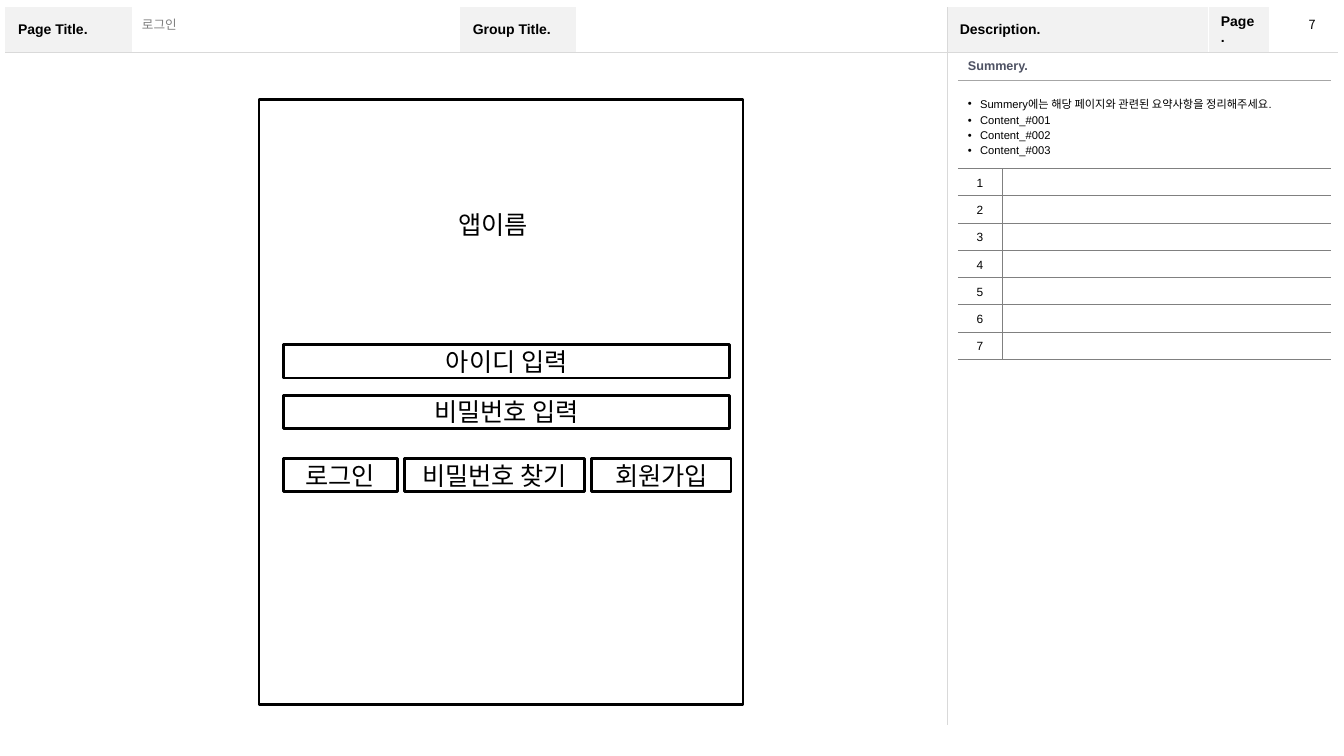
import pptx
import pptx.util
import pptx.dml.color
import pptx.enum.shapes
import pptx.enum.text
import pptx.oxml.ns
from lxml import etree

Inches, Pt = pptx.util.Inches, pptx.util.Pt
RGBColor = pptx.dml.color.RGBColor
ALIGN = pptx.enum.text.PP_ALIGN
MIDDLE = pptx.enum.text.MSO_ANCHOR.MIDDLE
qn = pptx.oxml.ns.qn

BLACK = RGBColor(0x00, 0x00, 0x00)
WHITE = RGBColor(0xFF, 0xFF, 0xFF)
GRAY = RGBColor(0x80, 0x80, 0x80)
MID_GRAY = RGBColor(0xA6, 0xA6, 0xA6)
LIGHT_GRAY = RGBColor(0xD9, 0xD9, 0xD9)
LABEL_FILL = RGBColor(0xF2, 0xF2, 0xF2)
SLATE = RGBColor(0x4E, 0x52, 0x63)
KOREAN = "Noto Sans CJK KR"


def write(p, text, size, font="Arial", color=BLACK, bold=False, **para):
    for name, value in para.items():
        setattr(p, name, value)
    r = p.add_run()
    r.text = text
    for name, value in {"size": Pt(size), "name": font, "bold": bold}.items():
        setattr(r.font, name, value)
    r.font.color.rgb = color
    # East Asian typeface for Hangul
    etree.SubElement(r.font._element, qn("a:ea"), typeface=KOREAN)


def add_label(s, text, box, size, wrap=False, anchor=None, **fmt):
    tf = s.shapes.add_textbox(*map(Inches, box)).text_frame
    tf.word_wrap = wrap
    tf.vertical_anchor = anchor
    write(tf.paragraphs[0], text, size, **fmt)


def add_box(s, box, text=None):
    kind = pptx.enum.shapes.MSO_SHAPE.RECTANGLE
    sp = s.shapes.add_shape(kind, *map(Inches, box))
    sp.shadow.inherit = False
    sp.fill.background()
    sp.line.color.rgb = BLACK
    sp.line.width = Pt(2)
    if text:
        sp.text_frame.vertical_anchor = MIDDLE
        write(sp.text_frame.paragraphs[0], text, 18, KOREAN, alignment=ALIGN.CENTER)


def add_table(s, left, top, cols, rows):
    tbl = s.shapes.add_table(len(rows), len(cols), Inches(left), Inches(top),
                             Inches(sum(cols)), Inches(sum(rows))).table
    tbl.first_row = tbl.horz_banding = False
    for col, width in zip(tbl.columns, cols):
        col.width = Inches(width)
    for row, height in zip(tbl.rows, rows):
        row.height = Inches(height)
    for cell in tbl.iter_cells():
        cell.fill.background()
        cell.vertical_anchor = MIDDLE
        # Small end mark keeps empty rows low
        etree.SubElement(cell.text_frame.paragraphs[0]._p, qn("a:endParaRPr"), sz="800")
    return tbl


def set_borders(cell, **colors):
    tcPr = cell._tc.get_or_add_tcPr()
    for i, side in enumerate("LRTB"):
        ln = etree.Element(qn("a:ln" + side), w=str(Pt(0.25)))
        if side in colors:
            fill = etree.SubElement(ln, qn("a:solidFill"))
            etree.SubElement(fill, qn("a:srgbClr"), val=str(colors[side]))
        else:
            etree.SubElement(ln, qn("a:noFill"))
        tcPr.insert(i, ln)


def add_bullet(p):
    pPr = p._p.get_or_add_pPr()
    pPr.set("marL", str(Inches(0.12)))
    pPr.set("indent", str(-Inches(0.12)))
    etree.SubElement(pPr, qn("a:buFont"), typeface="Arial")
    etree.SubElement(pPr, qn("a:buChar"), char="•")


def add_page_frame(s):
    tbl = add_table(s, 0.05, 0.07, [1.26, 3.25, 1.15, 3.68, 2.59, 0.61, 0.68], [0.44, 6.67])
    labels = {0: "Page Title.", 2: "Group Title.", 4: "Description.", 5: "Page."}
    for col in range(7):
        edges = {3: {"R": LIGHT_GRAY}, 4: {"L": LIGHT_GRAY, "R": WHITE}, 5: {"L": WHITE}}.get(col, {})
        head, body = tbl.cell(0, col), tbl.cell(1, col)
        set_borders(head, B=LIGHT_GRAY, **edges)
        set_borders(body, T=LIGHT_GRAY, **({"R": LIGHT_GRAY} if col < 4 else
                                           {"L": LIGHT_GRAY} if col == 4 else {}))
        if col in labels:
            head.fill.solid()
            head.fill.fore_color.rgb = LABEL_FILL
            margins = {"left": 0.13, "right": 0.13, "top": 0.07, "bottom": 0.07}
            for side, margin in margins.items():
                setattr(head, "margin_" + side, Inches(margin))
            write(head.text_frame.paragraphs[0], labels[col], 10, bold=True)
    tbl.cell(1, 0).merge(tbl.cell(1, 3))
    tbl.cell(1, 4).merge(tbl.cell(1, 6))


def add_description(s):
    tbl = add_table(s, 9.5, 0.52, [0.44, 3.26], [0.28, 0.87] + [0.27] * 7)
    for col in range(2):
        set_borders(tbl.cell(0, col), B=MID_GRAY)
        set_borders(tbl.cell(1, col), T=MID_GRAY, B=GRAY)
    for row in range(2):
        tbl.cell(row, 0).merge(tbl.cell(row, 1))
    write(tbl.cell(0, 0).text_frame.paragraphs[0], "Summery.", 9, color=SLATE, bold=True)

    # Summary bullets
    tf = tbl.cell(1, 0).text_frame
    lines = ["Summery에는 해당 페이지와 관련된 요약사항을 정리해주세요."]
    lines += [f"Content_#{n:03}" for n in range(1, 4)]
    for i, line in enumerate(lines):
        p = tf.add_paragraph() if i else tf.paragraphs[0]
        write(p, line, 8, alignment=ALIGN.JUSTIFY, line_spacing=1.2)
        add_bullet(p)

    # Numbered rows
    for n in range(1, 8):
        number, note = tbl.cell(n + 1, 0), tbl.cell(n + 1, 1)
        set_borders(number, T=GRAY, R=GRAY, B=GRAY)
        set_borders(note, L=GRAY, T=GRAY, B=GRAY)
        write(number.text_frame.paragraphs[0], str(n), 8.5,
              alignment=ALIGN.CENTER, line_spacing=1.2)


def add_login_screen(s):
    add_box(s, (2.57, 0.99, 4.8, 6))
    add_label(s, "앱이름", (4.45, 2.03, 0.96, 0.4), 18, font=KOREAN)
    fields = [("아이디 입력", 2.81, 3.42, 4.43), ("비밀번호 입력", 2.81, 3.92, 4.43)]
    buttons = [("로그인", 2.81, 4.55, 1.13), ("비밀번호 찾기", 4.01, 4.55, 1.79),
               ("회원가입", 5.87, 4.55, 1.38)]
    for text, left, top, width in fields + buttons:
        add_box(s, (left, top, width, 0.33), text)


def main():
    prs = pptx.Presentation()
    prs.slide_width, prs.slide_height = Inches(13.33), Inches(7.5)
    s = prs.slides.add_slide(prs.slide_layouts[6])
    add_page_frame(s)
    add_label(s, "로그인", (1.31, 0.12, 3.24, 0.24), 9, wrap=True, anchor=MIDDLE, color=GRAY)
    add_description(s)
    add_label(s, "7", (12.88, 0.12, 0.27, 0.25), 9, font=KOREAN)
    add_login_screen(s)
    prs.save("out.pptx")


main()
